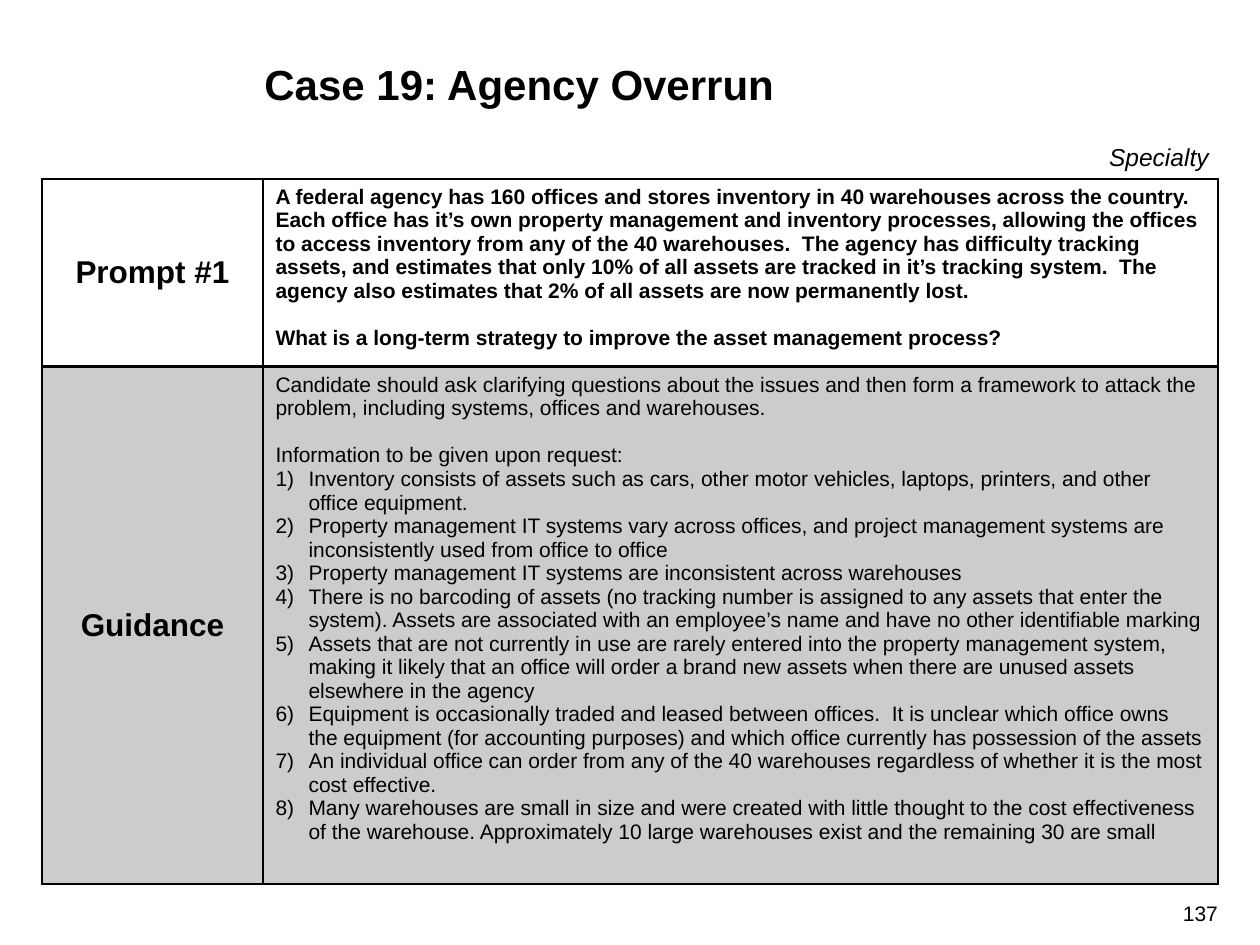
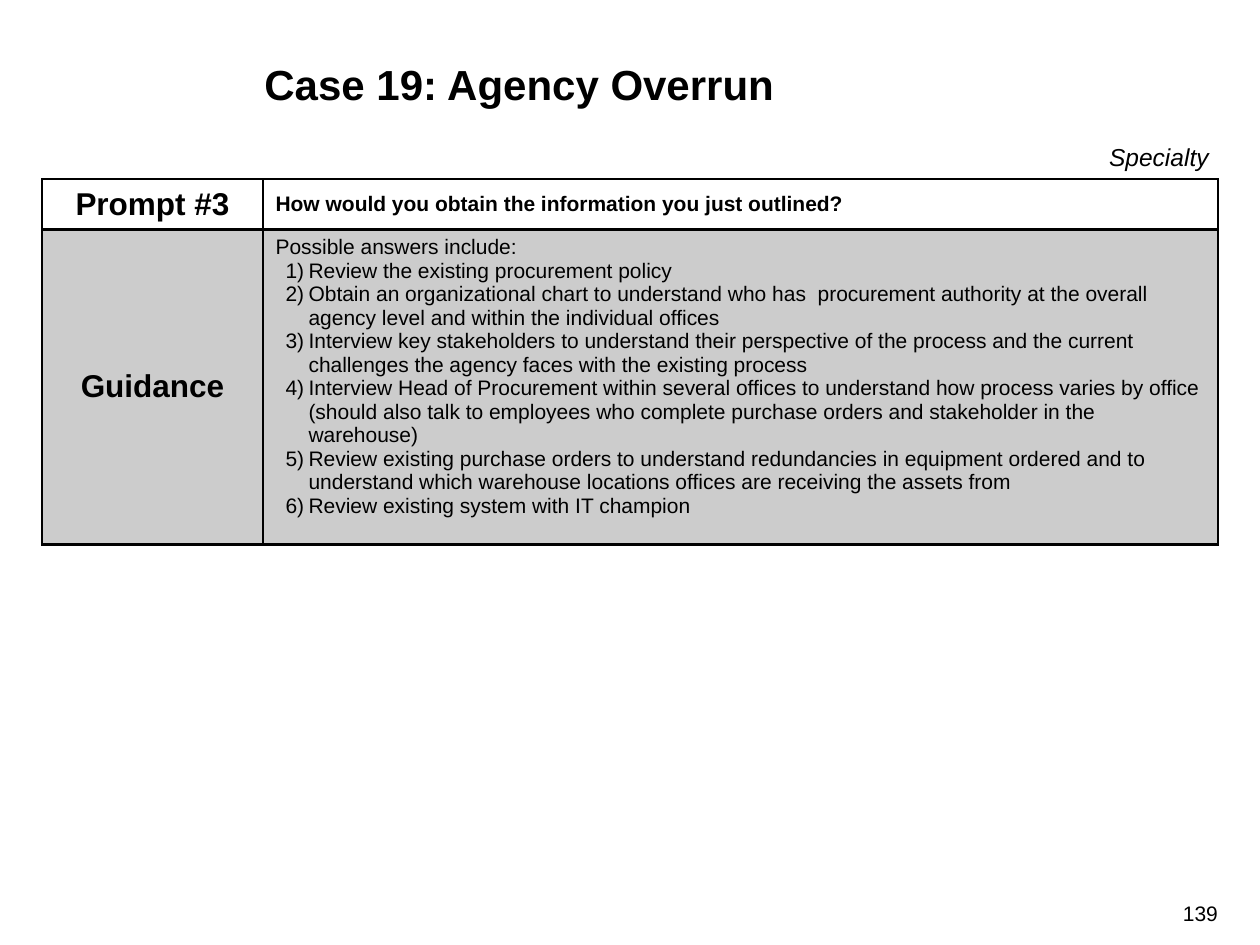
"""Builds two prompt-and-guidance slides of a case interview."""
from lxml.etree import SubElement
from pptx import Presentation
from pptx.dml.color import RGBColor as RGB
from pptx.enum.text import MSO_ANCHOR as ANCHOR, PP_ALIGN as ALIGN
from pptx.oxml import parse_xml
from pptx.oxml.ns import nsdecls, qn
from pptx.util import Pt

TITLE = "Case 19: Agency Overrun"
CATEGORY = "Specialty "
SLIDES = [
    {
        "page": 137, "prompt": "Prompt #1", "rows": (188, 517),
        "prompt_anchor": ANCHOR.TOP, "hang": 33, "bottom_line": 1,
        "question": [
            ("text", "A federal agency has 160 offices and stores inventory in 40 warehouses across the country. Each office has it’s own property management and inventory processes, allowing the offices to access inventory from any of the 40 warehouses.  The agency has difficulty tracking assets, and estimates that only 10% of all assets are tracked in it’s tracking system.  The agency also estimates that 2% of all assets are now permanently lost."),
            ("gap", "What is a long-term strategy to improve the asset management process?"),
        ],
        "guidance": [
            ("text", "Candidate should ask clarifying questions about the issues and then form a framework to attack the problem, including systems, offices and warehouses."),
            ("gap", "Information to be given upon request:"),
            ("item", "Inventory consists of assets such as cars, other motor vehicles, laptops, printers, and other office equipment."),
            ("item", "Property management IT systems vary across offices, and project management systems are inconsistently used from office to office"),
            ("item", "Property management IT systems are inconsistent across warehouses"),
            ("item", "There is no barcoding of assets (no tracking number is assigned to any assets that enter the system). Assets are associated with an employee’s name and have no other identifiable marking"),
            ("item", "Assets that are not currently in use are rarely entered into the property management system, making it likely that an office will order a brand new assets when there are unused assets elsewhere in the agency"),
            ("item", "Equipment is occasionally traded and leased between offices.  It is unclear which office owns the equipment (for accounting purposes) and which office currently has possession of the assets"),
            ("item", "An individual office can order from any of the 40 warehouses regardless of whether it is the most cost effective."),
            ("item", "Many warehouses are small in size and were created with little thought to the cost effectiveness of the warehouse. Approximately 10 large warehouses exist and the remaining 30 are small"),
        ],
    },
    {
        "page": 139, "prompt": "Prompt #3", "rows": (50, 315),
        "prompt_anchor": ANCHOR.MIDDLE, "hang": 23, "bottom_line": 2,
        "question": [("text", "How would you obtain the information you just outlined?")],
        "guidance": [
            ("text", "Possible answers include:"),
            ("item", "Review the existing procurement policy"),
            ("item", "Obtain an organizational chart to understand who has  procurement authority at the overall agency level and within the individual offices"),
            ("item", "Interview key stakeholders to understand their perspective of the process and the current challenges the agency faces with the existing process"),
            ("item", "Interview Head of Procurement within several offices to understand how process varies by office (should also talk to employees who complete purchase orders and stakeholder in the warehouse)"),
            ("item", "Review existing purchase orders to understand redundancies in equipment ordered and to understand which warehouse locations offices are receiving the assets from"),
            ("item", "Review existing system with IT champion"),
        ],
    },
]

COLORS = {"ink": "000000", "paper": "FFFFFF", "guidance": "CCCCCC"}
FONT = "Arial"
PX = 914400 // 126
TABLE_X, TABLE_Y, COLS = 42, 179, (221, 955)
ITEM_INDENT = 33
GAP = Pt(13.5)


def px(*lengths):
    return [n * PX for n in lengths]


def write(tf, paras, size=12, bold=False, italic=False, align=ALIGN.LEFT, hang=0):
    """Fill a text frame with (kind, text) paragraphs."""
    if isinstance(paras, str):
        paras = [("text", paras)]
    for i, (kind, text) in enumerate(paras):
        p = tf.add_paragraph() if i else tf.paragraphs[0]
        p.alignment = align
        if kind == "gap":
            p.space_before = GAP
        if kind == "item":
            pPr = p._p.get_or_add_pPr()
            pPr.set("marL", str(ITEM_INDENT * PX))
            pPr.set("indent", str(-hang * PX))
            SubElement(pPr, qn("a:buFont"), typeface=FONT)
            SubElement(pPr, qn("a:buAutoNum"), type="arabicParenR")
        r = p.add_run()
        r.text = text
        f = r.font
        f.name, f.size, f.bold, f.italic = FONT, Pt(size), bold, italic
        f.color.rgb = RGB.from_string(COLORS["ink"])


def add_text(slide, box, text, inset=True, **fmt):
    tf = slide.shapes.add_textbox(*px(*box)).text_frame
    tf.word_wrap = True
    if not inset:
        tf.margin_left = tf.margin_right = tf.margin_top = tf.margin_bottom = 0
    write(tf, text, **fmt)


def style_cell(cell, fill, anchor, top, bottom):
    tcPr = cell._tc.get_or_add_tcPr()
    for i, (side, width) in enumerate(zip("LRTB", (1, 1, top, bottom))):
        tcPr.insert(i, parse_xml(
            f'<a:ln{side} {nsdecls("a")} w="{Pt(width)}"><a:solidFill>'
            f'<a:srgbClr val="{COLORS["ink"]}"/></a:solidFill></a:ln{side}>'))
    cell.fill.solid()
    cell.fill.fore_color.rgb = RGB.from_string(COLORS[fill])
    cell.vertical_anchor = anchor


def add_case_table(slide, data):
    box = px(TABLE_X, TABLE_Y, sum(COLS), sum(data["rows"]))
    table = slide.shapes.add_table(2, 2, *box).table
    table.first_row = table.horz_banding = False
    for col, width in zip(table.columns, px(*COLS)):
        col.width = width
    rows = [
        (data["prompt"], data["question"], True, "paper", data["prompt_anchor"], 1, 2),
        ("Guidance", data["guidance"], False, "guidance", ANCHOR.TOP, 2, data["bottom_line"]),
    ]
    for i, (label, body, bold, fill, anchor, top, bottom) in enumerate(rows):
        table.rows[i].height = data["rows"][i] * PX
        head, text = table.cell(i, 0), table.cell(i, 1)
        write(head.text_frame, label, size=18, bold=True, align=ALIGN.CENTER)
        write(text.text_frame, body, bold=bold, hang=data["hang"])
        style_cell(head, fill, ANCHOR.MIDDLE, top, bottom)
        style_cell(text, fill, anchor, top, bottom)


def main():
    prs = Presentation()
    prs.slide_width, prs.slide_height = px(1260, 945)
    for data in SLIDES:
        s = prs.slides.add_slide(prs.slide_layouts[6])
        add_text(s, (252, 52, 819, 64), TITLE, size=24, bold=True)
        add_case_table(s, data)
        add_text(s, (1029, 136, 199, 43), CATEGORY, size=14, italic=True, align=ALIGN.RIGHT)
        add_text(s, (1165, 901, 53, 31), str(data["page"]), inset=False, align=ALIGN.RIGHT)
    prs.save("out.pptx")


if __name__ == "__main__":
    main()
